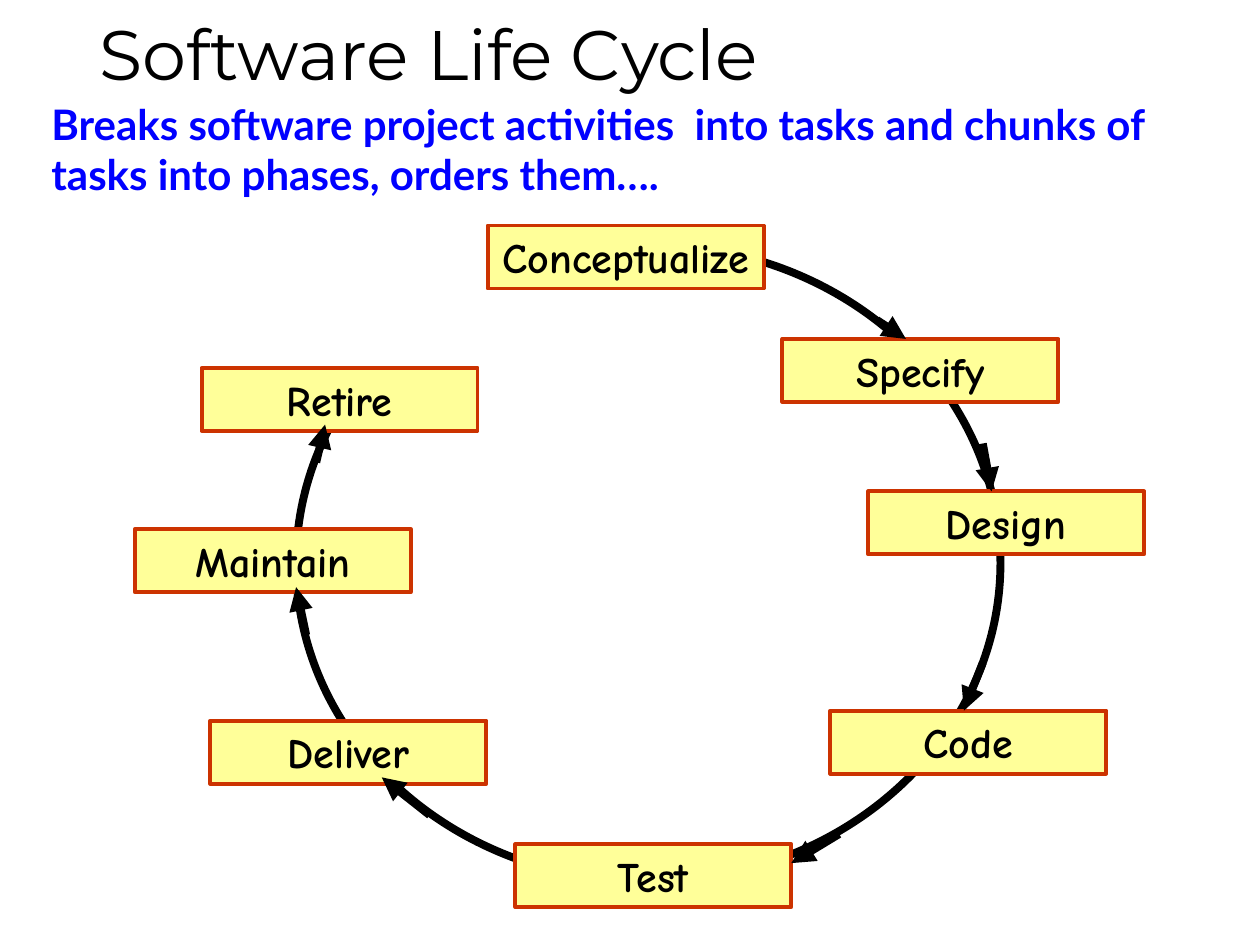
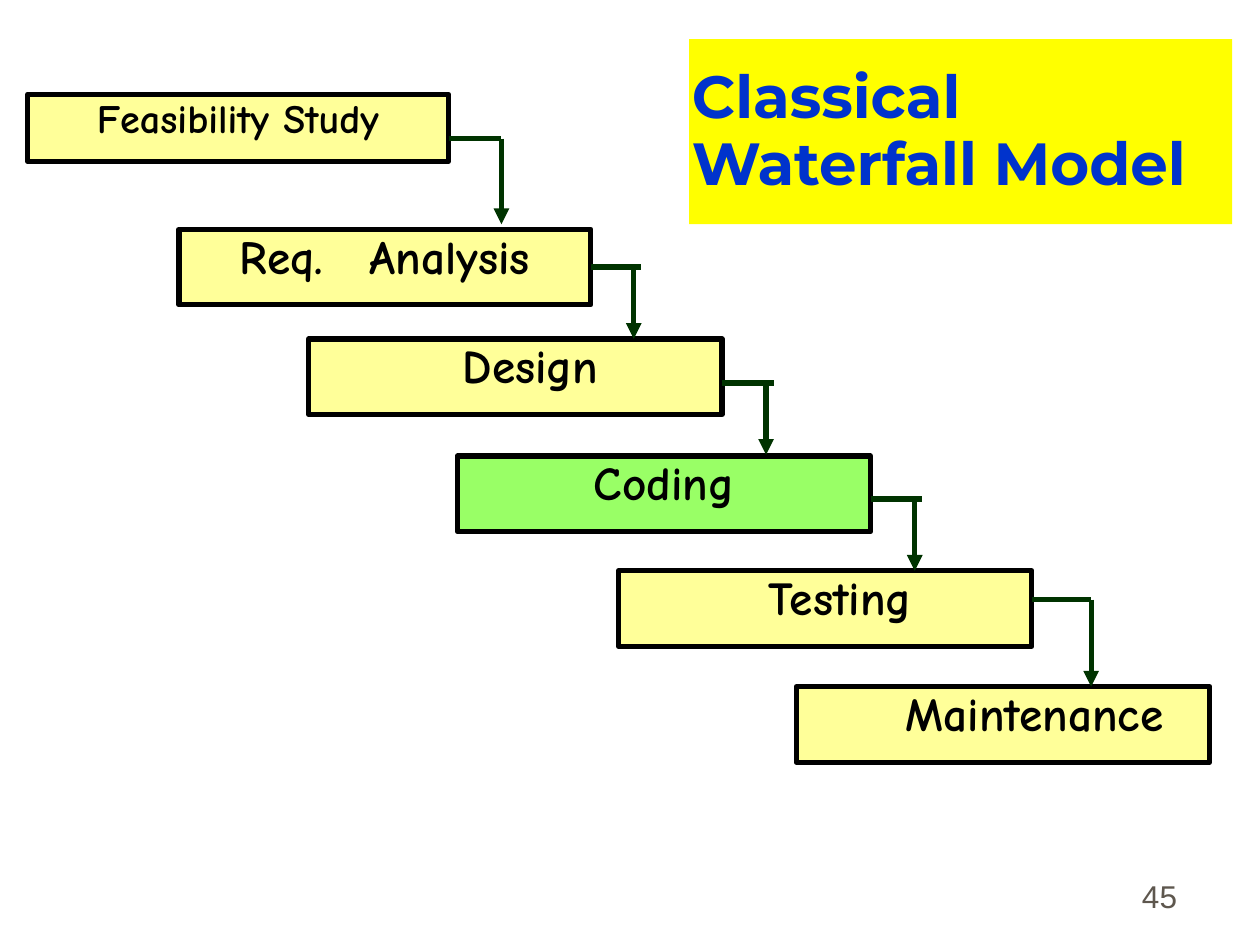
"""Build two slides: the software life cycle and the classical waterfall model."""
from dataclasses import dataclass
from math import isclose
from typing import Any, NamedTuple

from lxml.etree import SubElement
from pptx import Presentation
from pptx.dml.color import RGBColor
from pptx.enum.shapes import MSO_CONNECTOR as Connector, MSO_SHAPE as Shape
from pptx.enum.text import MSO_ANCHOR as Anchor, MSO_AUTO_SIZE as AutoSize, PP_ALIGN as Align
from pptx.oxml.ns import qn
from pptx.util import Inches, Pt


class TextStyle(NamedTuple):
    font: str
    size: float
    color: str
    bold: bool = True


class Outline(NamedTuple):
    color: str
    width: float


@dataclass(frozen=True)
class Theme:
    """Colours, type styles and outlines shared by the slides."""
    box_fill: str = "FFFF99"
    active_fill: str = "99FF66"
    banner_fill: str = "FFFF00"
    title: TextStyle = TextStyle("Montserrat", 40, "000000", False)
    banner_title: TextStyle = TextStyle("Montserrat", 34, "0033CC")
    summary: TextStyle = TextStyle("Lato", 24, "0000FF")
    phase: TextStyle = TextStyle("Comic Neue", 24, "000000")
    first_stage: TextStyle = TextStyle("Comic Neue", 23, "000000")
    stage: TextStyle = TextStyle("Comic Neue", 27, "000000")
    page_number: TextStyle = TextStyle("Arial", 18, "5E574E", False)
    phase_edge: Outline = Outline("CC3300", 2.25)
    stage_edge: Outline = Outline("000000", 3)
    cycle_line: Outline = Outline("000000", 4.5)
    step_line: Outline = Outline("003300", 3)


THEME = Theme()


class Area(NamedTuple):
    left: float
    top: float
    width: float
    height: float

    @property
    def right(self) -> float:
        return self.left + self.width

    @property
    def middle(self) -> float:
        return self.top + self.height / 2

    def lengths(self) -> list[int]:
        return [Inches(value) for value in self]


class Phase(NamedTuple):
    name: str
    left: float
    top: float


class Arrow(NamedTuple):
    start: tuple[float, float]
    end: tuple[float, float]


class Stage(NamedTuple):
    name: str
    area: Area
    style: TextStyle = THEME.stage
    fill: str = THEME.box_fill
    indent: float = 0


class Step(NamedTuple):
    exit_y: float
    arm_end: float
    drop_x: float
    drop_end: float


PHASE_SIZE = (2.19, 0.5)
PHASES = [
    Phase("Conceptualize", 3.87, 1.79),
    Phase("Specify", 6.21, 2.69),
    Phase("Design", 6.89, 3.9),
    Phase("Code", 6.59, 5.64),
    Phase("Test", 4.09, 6.7),
    Phase("Deliver", 1.67, 5.72),
    Phase("Maintain", 1.07, 4.2),
    Phase("Retire", 1.6, 2.92),
]
CYCLE = Area(2.35, 1.94, 5.59, 5.06)
CYCLE_START, CYCLE_END = 270, 208
ARC_UNITS_PER_DEGREE = 0.6
CYCLE_ARROWS = [
    Arrow((6.96, 2.54), (7.19, 2.69)),
    Arrow((7.8, 3.52), (7.87, 3.9)),
    Arrow((7.8, 5.26), (7.65, 5.64)),
    Arrow((6.66, 6.62), (6.28, 6.85)),
    Arrow((3.41, 6.47), (3.03, 6.17)),
    Arrow((2.43, 5.04), (2.35, 4.66)),
    Arrow((2.51, 3.67), (2.58, 3.37)),
]

STAGES = [
    Stage("Feasibility Study", Area(0.22, 0.75, 3.34, 0.53), THEME.first_stage),
    Stage("Req. Analysis", Area(1.42, 1.82, 3.27, 0.6)),
    Stage("Design", Area(2.45, 2.69, 3.28, 0.6), indent=0.24),
    Stage("Coding", Area(3.63, 3.62, 3.28, 0.6), fill=THEME.active_fill),
    Stage("Testing", Area(4.91, 4.53, 3.28, 0.6), indent=0.24),
    Stage("Maintenance", Area(6.32, 5.45, 3.28, 0.6), indent=0.5),
]
WIDE_GAP_STAGE, WIDE_GAP = "Req. Analysis", 17
STEPS = [
    Step(1.1, 3.98, 3.98, 1.78),
    Step(2.12, 5.09, 5.03, 2.69),
    Step(3.04, 6.14, 6.08, 3.61),
    Step(3.96, 7.32, 7.26, 4.53),
    Step(4.76, 8.66, 8.66, 5.45),
]
TIGHT = {"margin_left": Inches(0.02), "margin_right": Inches(0.02)}


def apply(target: Any, values: dict[str, Any]) -> None:
    """Set every named attribute on the target."""
    for name, value in values.items():
        setattr(target, name, value)


def write(holder: Any, text: str, style: TextStyle, paragraph_format: dict[str, Any],
          frame_format: dict[str, Any] | None = None) -> Any:
    """Put one formatted paragraph into a shape and return it."""
    frame = holder.text_frame
    apply(frame, {"word_wrap": True, "auto_size": AutoSize.NONE,
                  "vertical_anchor": Anchor.TOP, **(frame_format or {})})
    paragraph = frame.paragraphs[0]
    apply(paragraph, {"space_before": Pt(0), **paragraph_format})
    run = paragraph.add_run()
    run.text = text
    format_run(run, style)
    return paragraph


def format_run(run: Any, style: TextStyle) -> None:
    """Give a run its font, size, weight and colour."""
    apply(run.font, {"name": style.font, "size": Pt(style.size), "bold": style.bold})
    run.font.color.rgb = RGBColor.from_string(style.color)


def widen_word_gap(paragraph: Any, style: TextStyle, points: int) -> None:
    """Stretch the space between the first two words."""
    first = paragraph.runs[0]
    start, rest = first.text.split(" ", 1)
    first.text = start
    for text in (" ", rest):
        run = paragraph.add_run()
        run.text = text
        format_run(run, style)
        if text == " ":
            run.font._element.set("spc", str(points * 100))


def paint(shape: Any, fill: str) -> None:
    """Fill a shape with one colour."""
    shape.fill.solid()
    shape.fill.fore_color.rgb = RGBColor.from_string(fill)


def trace(line: Any, outline: Outline) -> None:
    """Give a line its colour and width."""
    line.color.rgb = RGBColor.from_string(outline.color)
    line.width = Pt(outline.width)


def add_box(slide: Any, area: Area, fill: str, edge: Outline) -> Any:
    """Add a filled, outlined rectangle."""
    box = slide.shapes.add_shape(Shape.RECTANGLE, *area.lengths())
    box.shadow.inherit = False
    paint(box, fill)
    trace(box.line, edge)
    return box


def add_line(slide: Any, arrow: Arrow, outline: Outline, headed: bool = True) -> Any:
    """Add a straight line, with an arrowhead if asked."""
    ends = [Inches(value) for value in (*arrow.start, *arrow.end)]
    line = slide.shapes.add_connector(Connector.STRAIGHT, *ends)
    trace(line.line, outline)
    if headed:
        SubElement(line.line._get_or_add_ln(), qn("a:tailEnd"), type="triangle")
    SubElement(line._element.spPr, qn("a:effectLst"))
    return line


def add_titled_slide(deck: Any, text: str, area: Area, style: TextStyle,
                     paragraph_format: dict[str, Any], frame_format: dict[str, Any]) -> Any:
    """Add a slide with its title placed and formatted."""
    slide = deck.slides.add_slide(deck.slide_layouts[5])
    title = slide.shapes.title
    apply(title, dict(zip(("left", "top", "width", "height"), area.lengths())))
    write(title, text, style, {"alignment": Align.LEFT, **paragraph_format}, frame_format)
    return slide


def add_text(slide: Any, text: str, area: Area, style: TextStyle, align: Any, anchor: Any) -> None:
    """Add a text box with one paragraph."""
    box = slide.shapes.add_textbox(*area.lengths())
    write(box, text, style, {"alignment": align}, {"vertical_anchor": anchor})


def build_life_cycle(deck: Any) -> None:
    """Draw the phases around the cycle."""
    slide = add_titled_slide(deck, "Software Life Cycle", Area(0.69, 0, 8.53, 0.8),
                             THEME.title, {}, {"vertical_anchor": Anchor.BOTTOM})
    cycle = slide.shapes.add_shape(Shape.ARC, *CYCLE.lengths())
    cycle.shadow.inherit = False
    cycle.fill.background()
    trace(cycle.line, THEME.cycle_line)
    for index, angle in enumerate((CYCLE_START, CYCLE_END)):
        cycle.adjustments[index] = angle * ARC_UNITS_PER_DEGREE
    for phase in PHASES:
        box = add_box(slide, Area(phase.left, phase.top, *PHASE_SIZE),
                      THEME.box_fill, THEME.phase_edge)
        write(box, phase.name, THEME.phase, {"alignment": Align.CENTER})
    for arrow in CYCLE_ARROWS:
        add_line(slide, arrow, THEME.cycle_line)
    add_text(slide, "Breaks software project activities  into tasks and chunks of tasks "
             "into phases, orders them….", Area(0.31, 0.73, 9.37, 0.89),
             THEME.summary, Align.LEFT, Anchor.TOP)


def build_waterfall(deck: Any) -> None:
    """Draw the stages stepping down to the right."""
    slide = add_titled_slide(deck, "Classical Waterfall Model", Area(5.47, 0.31, 4.31, 1.47),
                             THEME.banner_title, {"line_spacing": 0.94},
                             {"vertical_anchor": Anchor.MIDDLE, **TIGHT})
    paint(slide.shapes.title, THEME.banner_fill)
    boxes = []
    for stage in STAGES:
        box = add_box(slide, stage.area, stage.fill, THEME.stage_edge)
        margins = {**TIGHT, "margin_left": Inches(0.02 + stage.indent)}
        label = write(box, stage.name, stage.style,
                      {"alignment": Align.CENTER, "line_spacing": 0.85}, margins)
        if stage.name == WIDE_GAP_STAGE:
            widen_word_gap(label, stage.style, WIDE_GAP)
        boxes.append(box)
    for stage, box, step in zip(STAGES, boxes, STEPS):
        arm = add_line(slide, Arrow((stage.area.right, step.exit_y), (step.arm_end, step.exit_y)),
                       THEME.step_line, headed=False)
        if isclose(step.exit_y, stage.area.middle, abs_tol=0.01):
            arm.begin_connect(box, 3)
        add_line(slide, Arrow((step.drop_x, step.exit_y), (step.drop_x, step.drop_end)),
                 THEME.step_line)
    add_text(slide, "45", Area(7.36, 6.81, 2.08, 0.5),
             THEME.page_number, Align.RIGHT, Anchor.BOTTOM)


def main() -> None:
    """Build and save the deck."""
    deck = Presentation()
    apply(deck, {"slide_width": Inches(10), "slide_height": Inches(7.5)})
    build_life_cycle(deck)
    build_waterfall(deck)
    deck.save("out.pptx")


if __name__ == "__main__":
    main()
